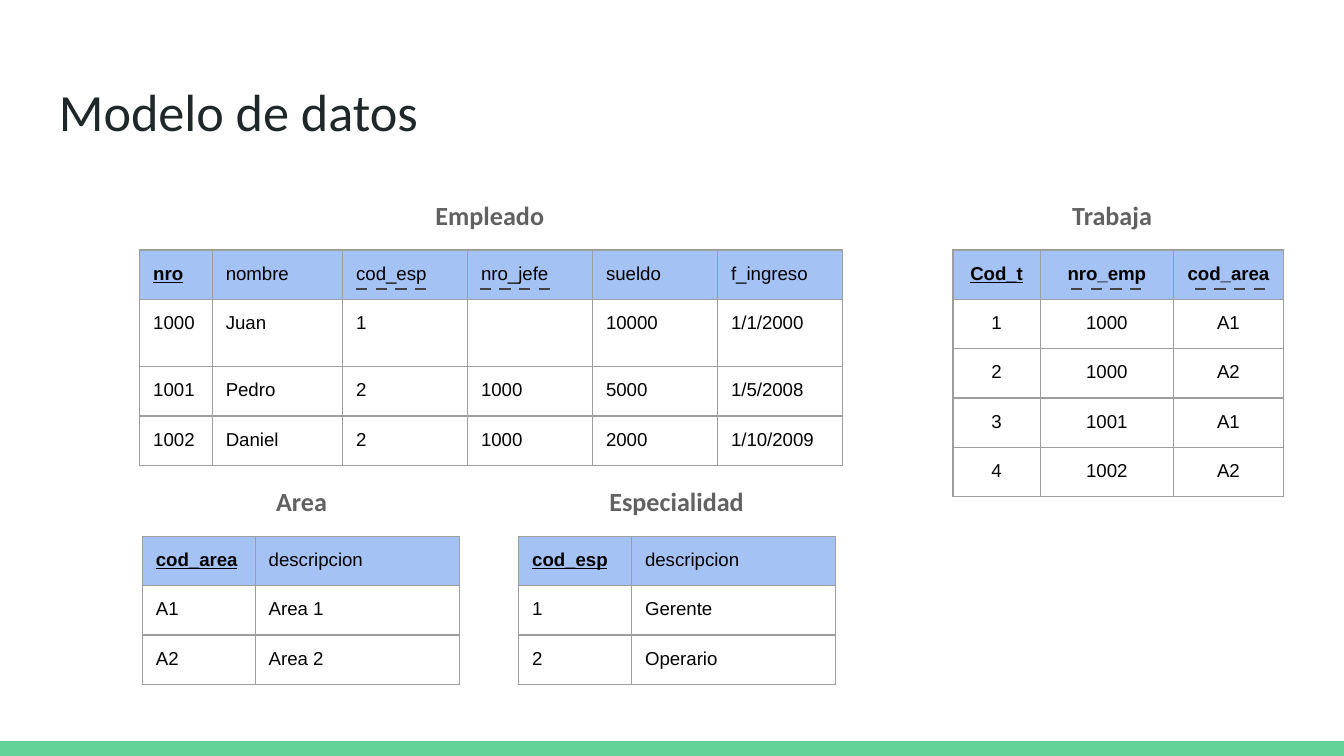
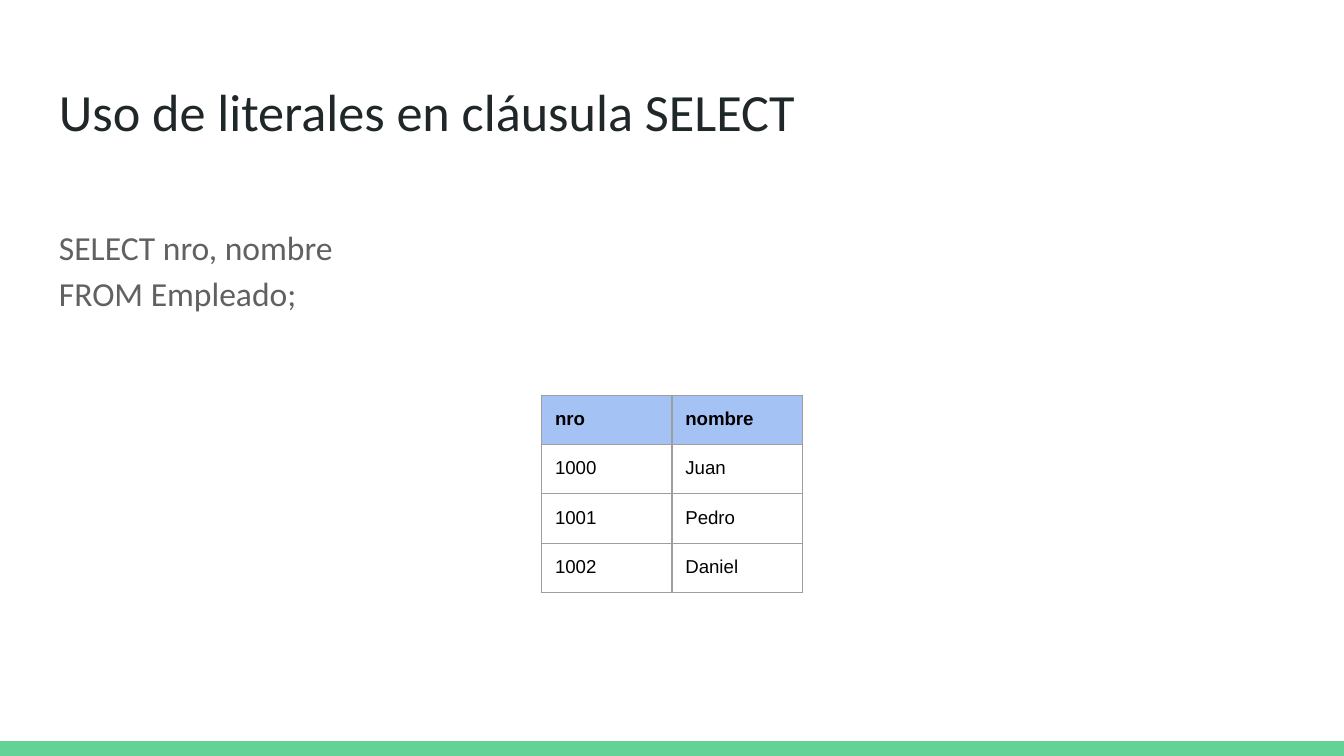
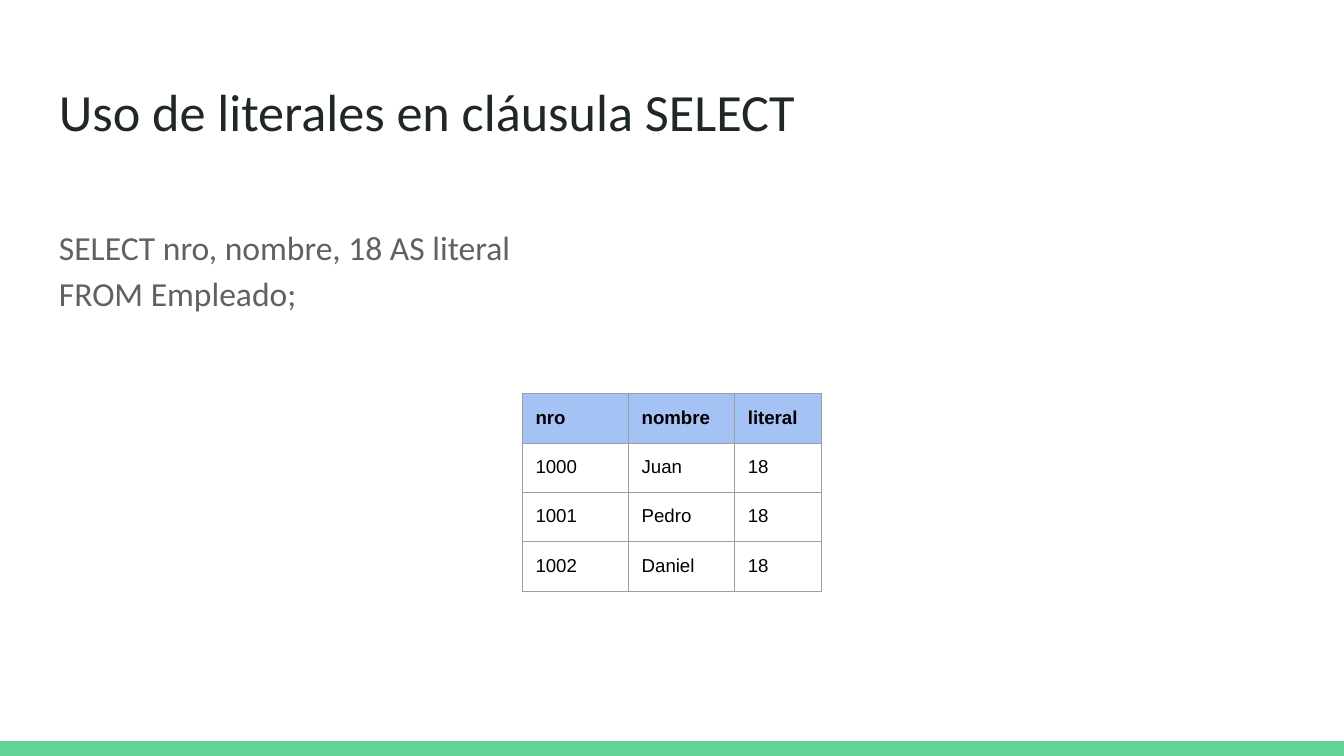
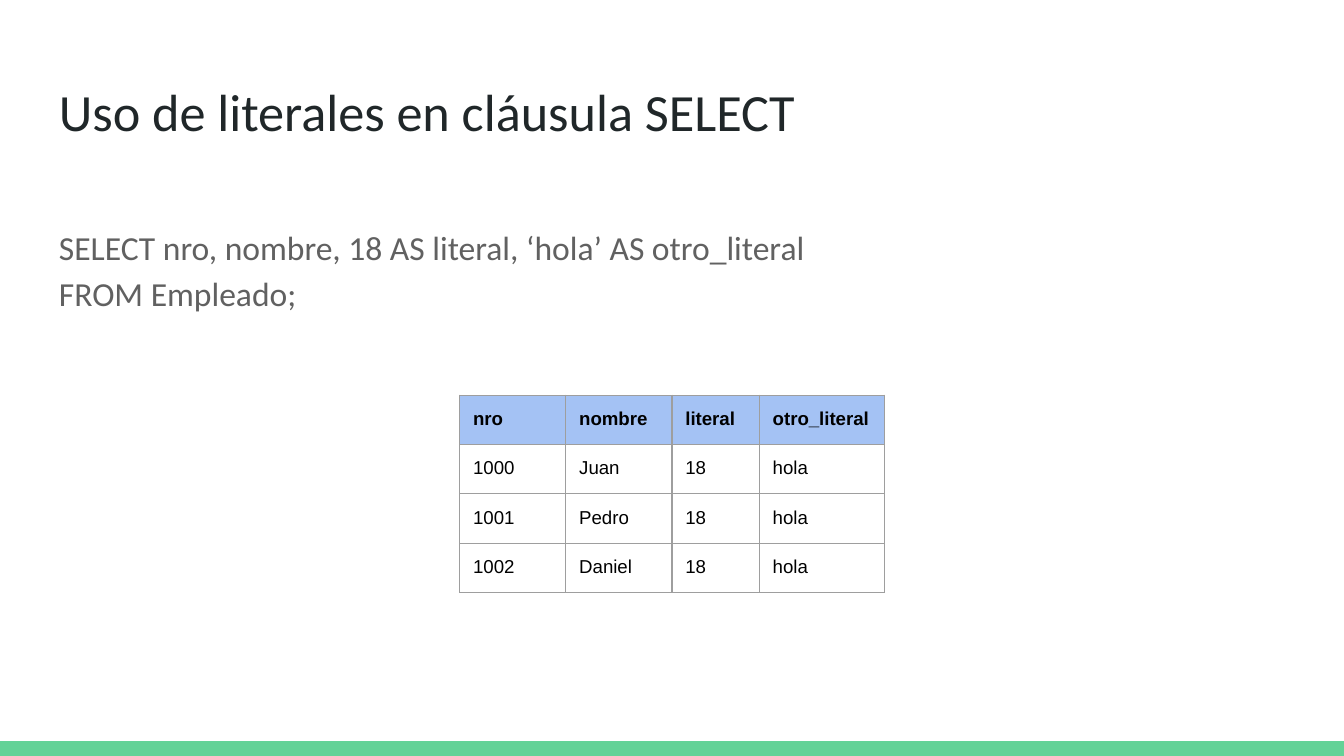
"""Build four slides on a data model and the use of literals in SELECT."""
from lxml import etree
from pptx import Presentation
from pptx.dml.color import RGBColor
from pptx.enum.dml import MSO_LINE
from pptx.enum.shapes import MSO_CONNECTOR, MSO_SHAPE
from pptx.enum.text import PP_ALIGN
from pptx.oxml.ns import qn
from pptx.util import Inches, Pt

STRAIGHT = MSO_CONNECTOR.STRAIGHT
RECTANGLE = MSO_SHAPE.RECTANGLE
DASH = MSO_LINE.DASH
LEFT, CENTER = PP_ALIGN.LEFT, PP_ALIGN.CENTER

GREEN = RGBColor(0x63, 0xD2, 0x97)
INK = RGBColor(0x20, 0x27, 0x29)
GRAY = RGBColor(0x61, 0x61, 0x61)
DARK_GRAY = RGBColor(0x43, 0x43, 0x43)
BORDER = RGBColor(0x9E, 0x9E, 0x9E)
BLUE = RGBColor(0xA4, 0xC2, 0xF4)
BLACK = RGBColor(0, 0, 0)

TEXT_FONT, TABLE_FONT = "Calibri", "Arial"
PAGE_WIDTH, PAGE_HEIGHT = 10, 5.625
BAND_HEIGHT = 0.11
MARGIN = 0.34
ROW_HEIGHT = 0.33
INSET = Inches(0.1)

MODEL_TITLE = "Modelo de datos"
MODEL_TABLES = [
    {
        "name": "Empleado", "left": 1.04, "top": 1.86, "heading_left": 2.66,
        "widths": [0.54, 0.97, 0.93, 0.93, 0.93, 0.93], "bold": 1, "align": LEFT,
        "rows": [
            ["nro", "nombre", "cod_esp", "nro_jefe", "sueldo", "f_ingreso"],
            ["1000", "Juan", "1", "", "10000", "1/1/2000"],
            ["1001", "Pedro", "2", "1000", "5000", "1/5/2008"],
            ["1002", "Daniel", "2", "1000", "2000", "1/10/2009"],
        ],
    },
    {
        "name": "Trabaja", "left": 7.09, "top": 1.86, "heading_left": 7.29,
        "widths": [0.65, 0.99, 0.82], "bold": 3, "align": CENTER,
        "rows": [
            ["Cod_t", "nro_emp", "cod_area"],
            ["1", "1000", "A1"],
            ["2", "1000", "A2"],
            ["3", "1001", "A1"],
            ["4", "1002", "A2"],
        ],
    },
    {
        "name": "Area", "left": 1.06, "top": 3.99, "heading_left": 1.26,
        "widths": [0.84, 1.52], "bold": 1, "align": LEFT,
        "rows": [["cod_area", "descripcion"], ["A1", "Area 1"], ["A2", "Area 2"]],
    },
    {
        "name": "Especialidad", "left": 3.86, "top": 3.99, "heading_left": 4.05,
        "widths": [0.84, 1.52], "bold": 1, "align": LEFT,
        "rows": [["cod_esp", "descripcion"], ["1", "Gerente"], ["2", "Operario"]],
    },
]
FOREIGN_KEY_Y = 2.15
FOREIGN_KEY_SPANS = [(2.65, 3.19), (3.57, 4.13), (7.97, 8.53), (8.89, 9.45)]

QUERY_TITLE = "Uso de literales en cláusula SELECT"
EMPLOYEES = [["nro", "nombre"], ["1000", "Juan"], ["1001", "Pedro"], ["1002", "Daniel"]]
QUERIES = [
    {"select": "SELECT nro, nombre", "literals": [], "widths": [0.97, 0.97], "top": 2.94},
    {"select": "SELECT nro, nombre, 18 AS literal", "literals": [("literal", "18")],
     "widths": [0.79, 0.79, 0.65], "top": 2.93},
    {"select": "SELECT nro, nombre, 18 AS literal, ‘hola’ AS otro_literal",
     "literals": [("literal", "18"), ("otro_literal", "hola")],
     "widths": [0.79, 0.79, 0.65, 0.93], "top": 2.94},
]
QUERY_SOURCE = "FROM Empleado;"


def add_span(para, text, size, color, font=TEXT_FONT, bold=False, underline=False):
    span = para.add_run()
    span.text = text
    span.font.name = font
    span.font.size = Pt(size)
    span.font.color.rgb = color
    span.font.bold = bold
    span.font.underline = underline


def add_text(page, left, top, width, height, lines, size, color,
             bold=False, align=LEFT, line_spacing=1.0, space_after=0):
    box = page.shapes.add_textbox(Inches(left), Inches(top), Inches(width), Inches(height))
    frame = box.text_frame
    frame.word_wrap = True
    frame.margin_left = frame.margin_right = INSET
    frame.margin_top = frame.margin_bottom = INSET
    para = frame.paragraphs[0]
    para.alignment = align
    para.line_spacing = line_spacing
    para.space_after = Pt(space_after)
    for index, line in enumerate(lines):
        if index:
            para.add_line_break()
        add_span(para, line, size, color, bold=bold)


def add_borders(cell):
    properties = cell._tc.get_or_add_tcPr()
    for side in ("a:lnL", "a:lnR", "a:lnT", "a:lnB"):
        line = etree.SubElement(properties, qn(side), w=str(Pt(0.75)))
        fill = etree.SubElement(line, qn("a:solidFill"))
        etree.SubElement(fill, qn("a:srgbClr"), val=str(BORDER))


def add_grid(page, left, top, widths, rows, bold, keys=0, align=LEFT):
    table = page.shapes.add_table(
        len(rows), len(widths), Inches(left), Inches(top),
        Inches(sum(widths)), Inches(ROW_HEIGHT * len(rows))).table
    table.first_row = table.horz_banding = False
    for column, width in zip(table.columns, widths):
        column.width = Inches(width)
    for row_index, values in enumerate(rows):
        is_header = row_index == 0
        table.rows[row_index].height = Inches(ROW_HEIGHT)
        for column_index, value in enumerate(values):
            cell = table.cell(row_index, column_index)
            cell.margin_left = cell.margin_right = INSET
            cell.margin_top = cell.margin_bottom = INSET
            add_borders(cell)
            if is_header:
                cell.fill.solid()
                cell.fill.fore_color.rgb = BLUE
            else:
                cell.fill.background()
            para = cell.text_frame.paragraphs[0]
            para.alignment = align
            if value:
                add_span(para, value, 10, BLACK, TABLE_FONT,
                         bold=is_header and column_index < bold,
                         underline=is_header and column_index < keys)


def add_dashes(page, start, end, y):
    line = page.shapes.add_connector(
        STRAIGHT, Inches(start), Inches(y), Inches(end), Inches(y))
    line.line.color.rgb = DARK_GRAY
    line.line.width = Pt(1.5)
    line.line.dash_style = DASH
    etree.SubElement(line._element.spPr, qn("a:effectLst"))


def add_page(deck, title):
    page = deck.slides.add_slide(deck.slide_layouts[6])
    band = page.shapes.add_shape(
        RECTANGLE, 0, Inches(PAGE_HEIGHT - BAND_HEIGHT), Inches(PAGE_WIDTH), Inches(BAND_HEIGHT))
    band.shadow.inherit = False
    band.fill.solid()
    band.fill.fore_color.rgb = GREEN
    band.line.fill.background()
    add_text(page, MARGIN, 0.49, PAGE_WIDTH - 2 * MARGIN, 0.63, [title], 28, INK)
    return page


def add_model_page(deck):
    page = add_page(deck, MODEL_TITLE)
    for entity in MODEL_TABLES:
        add_grid(page, entity["left"], entity["top"], entity["widths"], entity["rows"],
                 entity["bold"], keys=1, align=entity["align"])
        add_text(page, entity["heading_left"], entity["top"] - 0.51, 1.97, 0.42,
                 [entity["name"]], 14, GRAY, bold=True, align=CENTER,
                 line_spacing=1.15, space_after=16)
    for start, end in FOREIGN_KEY_SPANS:
        add_dashes(page, start, end, FOREIGN_KEY_Y)


def add_query_page(deck, query):
    page = add_page(deck, QUERY_TITLE)
    add_text(page, MARGIN, 1.54, PAGE_WIDTH - 2 * MARGIN, 0.89,
             [query["select"], QUERY_SOURCE], 18, GRAY, line_spacing=1.15, space_after=16)
    names = [name for name, value in query["literals"]]
    values = [value for name, value in query["literals"]]
    header, *records = EMPLOYEES
    rows = [header + names] + [record + values for record in records]
    widths = query["widths"]
    add_grid(page, (PAGE_WIDTH - sum(widths)) / 2, query["top"], widths, rows, bold=len(widths))


def main():
    deck = Presentation()
    deck.slide_width = Inches(PAGE_WIDTH)
    deck.slide_height = Inches(PAGE_HEIGHT)
    add_model_page(deck)
    for query in QUERIES:
        add_query_page(deck, query)
    deck.save("out.pptx")


if __name__ == "__main__":
    main()
